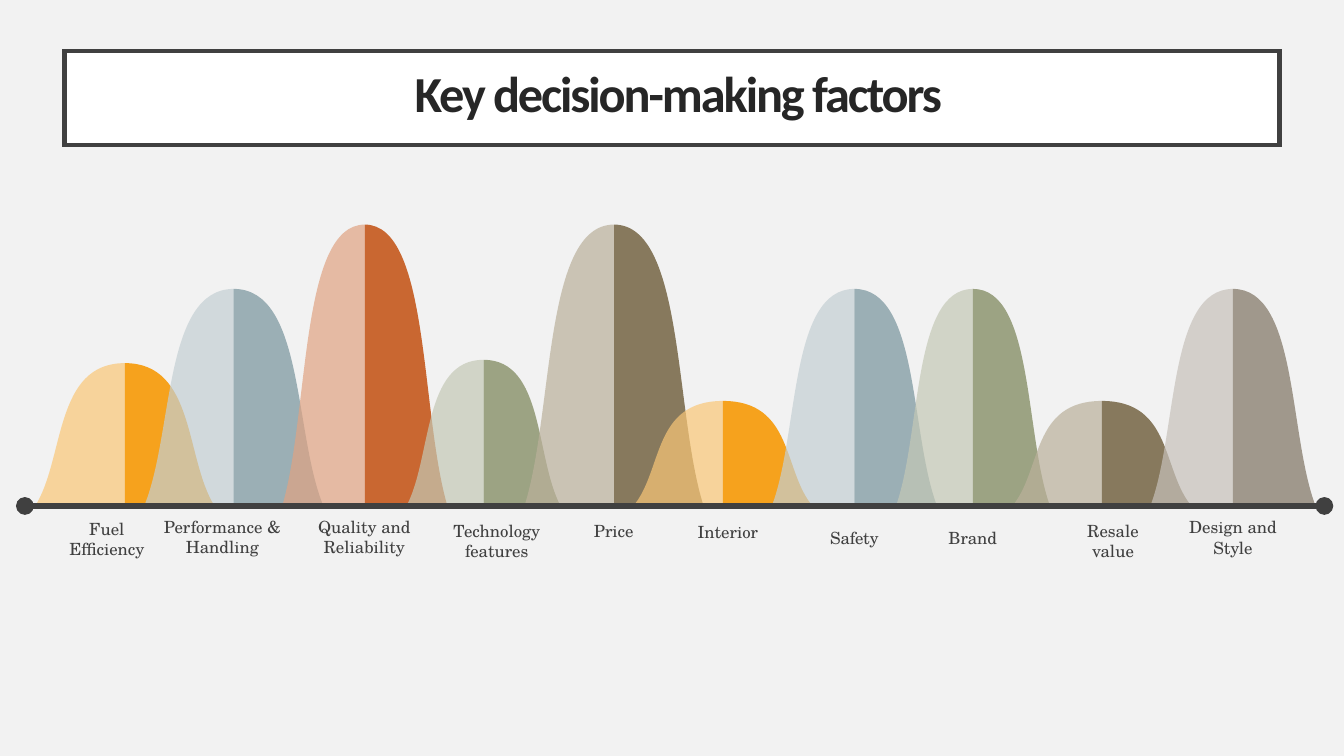
"""Build the slide of key decision-making factors as bells on a baseline."""
from lxml import etree
from pptx import Presentation, util as u
from pptx.dml.color import RGBColor
from pptx.enum import shapes, text
from pptx.oxml.ns import qn

TITLE = "Key decision-making factors"
COLOURS = {"page": "F2F2F2", "panel": "FFFFFF", "title": "262626", "ink": "404040"}
TONES = {
    "amber": {"light": "FAC777", "dark": "F6A21D"},
    "blue": {"light": "C3CFD3", "dark": "9BAFB5"},
    "rust": {"light": "E0A382", "dark": "C96731"},
    "green": {"light": "C4C8B5", "dark": "9CA383"},
    "brown": {"light": "BAB09B", "dark": "87795D"},
    "grey": {"light": "C6C1BA", "dark": "A0988C"},
}
BELL_FIELDS = ("tone", "centre", "reach", "height")
BELLS = [
    ("amber", 89.2, 64, 102),
    ("blue", 167, 64, 155),
    ("rust", 260.6, 59, 201),
    ("green", 345.4, 55, 104.4),
    ("brown", 438.6, 64, 201),
    ("amber", 516.4, 64, 75),
    ("blue", 610.3, 59, 155),
    ("green", 695, 55, 155),
    ("brown", 787.1, 64, 75),
    ("grey", 880.7, 59, 155),
]
LABEL_FIELDS = ("wording", "left", "top", "width", "lines")
LABELS = [
    ("Fuel Efficiency", 34.6, 367.2, 83.5, 2),
    ("Performance & Handling", 107.8, 365.6, 102.2, 2),
    ("Quality and Reliability", 217.1, 365.6, 86.4, 2),
    ("Technology features", 308.4, 368.6, 92.9, 2),
    ("Price", 383.7, 368.6, 109.4, 1),
    ("Interior", 481.8, 369.4, 76.3, 1),
    ("Safety", 575.8, 373.7, 69.1, 1),
    ("Brand", 656, 373.7, 77.8, 1),
    ("Resale value", 764.4, 368.6, 61.2, 2),
    ("Design and Style", 827.4, 365.8, 106.6, 2),
]
BASE, LINE_LEFT, LINE_RIGHT = 361.4, 17.8, 946
FLANK = [(0.67, 0.33), (0.79, 1), (0, 1)]


def colour(code):
    return RGBColor.from_string(code)


def add_half(page, centre, reach, height, code, alpha=None):
    apex = (u.Pt(centre), u.Pt(BASE - height))
    foot = (u.Pt(centre), u.Pt(BASE))
    edge = (u.Pt(centre + reach), u.Pt(BASE))
    builder = page.shapes.build_freeform(*apex)
    builder.add_line_segments([foot, edge, apex], close=True)
    half = builder.convert_to_shape()
    half.shadow.inherit = False
    half.fill.solid()
    half.fill.fore_color.rgb = colour(code)
    half.line.fill.background()
    properties = half.element.spPr
    flank = list(properties.iter(qn("a:lnTo")))[-1]
    curve = etree.Element(qn("a:cubicBezTo"))
    for across, up in FLANK:
        x = u.Pt(max(-reach, 0) + reach * across)
        y = u.Pt(height * (1 - up))
        etree.SubElement(curve, qn("a:pt"), x=str(int(x)), y=str(int(y)))
    flank.getparent().replace(flank, curve)
    if alpha:
        tint = next(properties.iter(qn("a:srgbClr")))
        etree.SubElement(tint, qn("a:alpha"), val=str(alpha * 1000))


def add_bell(page, tone, centre, reach, height):
    add_half(page, centre, -reach, height, TONES[tone]["light"], alpha=70)
    add_half(page, centre, reach, height, TONES[tone]["dark"])


def add_label(page, wording, left, top, width, lines):
    height = 7.2 + 14.4 * lines
    box = page.shapes.add_textbox(u.Pt(left), u.Pt(top), u.Pt(width), u.Pt(height))
    box.text_frame.word_wrap = True
    para = box.text_frame.paragraphs[0]
    para.text = wording
    para.alignment = text.PP_ALIGN.CENTER
    para.font.size, para.font.name = u.Pt(12), "TeX Gyre Schola"
    para.font.color.rgb = colour(COLOURS["ink"])


def add_baseline(page):
    line = page.shapes.add_connector(
        shapes.MSO_CONNECTOR.STRAIGHT, u.Pt(LINE_LEFT), u.Pt(BASE), u.Pt(LINE_RIGHT), u.Pt(BASE)
    )
    line.line.width = u.Pt(4.25)
    line.line.color.rgb = colour(COLOURS["ink"])
    stroke = next(line.element.spPr.iter(qn("a:ln")))
    for end in ("a:headEnd", "a:tailEnd"):
        etree.SubElement(stroke, qn(end), type="oval")
    etree.SubElement(line.element.spPr, qn("a:effectLst"))


def add_title(page):
    panel = page.shapes.add_shape(
        shapes.MSO_SHAPE.RECTANGLE, u.Pt(46), u.Pt(36.2), u.Pt(868), u.Pt(67.5)
    )
    panel.shadow.inherit = False
    panel.fill.solid()
    panel.fill.fore_color.rgb = colour(COLOURS["panel"])
    panel.line.color.rgb = colour(COLOURS["ink"])
    panel.line.width = u.Pt(3)
    stroke = next(panel.element.spPr.iter(qn("a:ln")))
    etree.SubElement(stroke, qn("a:miter"), lim="800000")
    frame = panel.text_frame
    frame.word_wrap = True
    frame.vertical_anchor = text.MSO_ANCHOR.MIDDLE
    frame.margin_left, frame.margin_right = u.Pt(30.7), u.Pt(21.6)
    frame.margin_top = frame.margin_bottom = u.Pt(14.4)
    para = frame.paragraphs[0]
    para.text = TITLE
    para.alignment, para.line_spacing = text.PP_ALIGN.CENTER, 0.8
    font = para.runs[0].font
    font.size, font.name, font.bold = u.Pt(36), "Calibri", True
    font.color.rgb = colour(COLOURS["title"])
    next(panel.element.iter(qn("a:rPr"))).set("spc", "-150")


def main():
    deck = Presentation()
    deck.slide_width, deck.slide_height = u.Pt(960), u.Pt(540)
    page = deck.slides.add_slide(deck.slide_layouts[6])
    page.background.fill.solid()
    page.background.fill.fore_color.rgb = colour(COLOURS["page"])
    for bell in BELLS:
        add_bell(page, **dict(zip(BELL_FIELDS, bell)))
    for label in LABELS:
        add_label(page, **dict(zip(LABEL_FIELDS, label)))
    add_baseline(page)
    add_title(page)
    deck.save("out.pptx")


if __name__ == "__main__":
    main()
